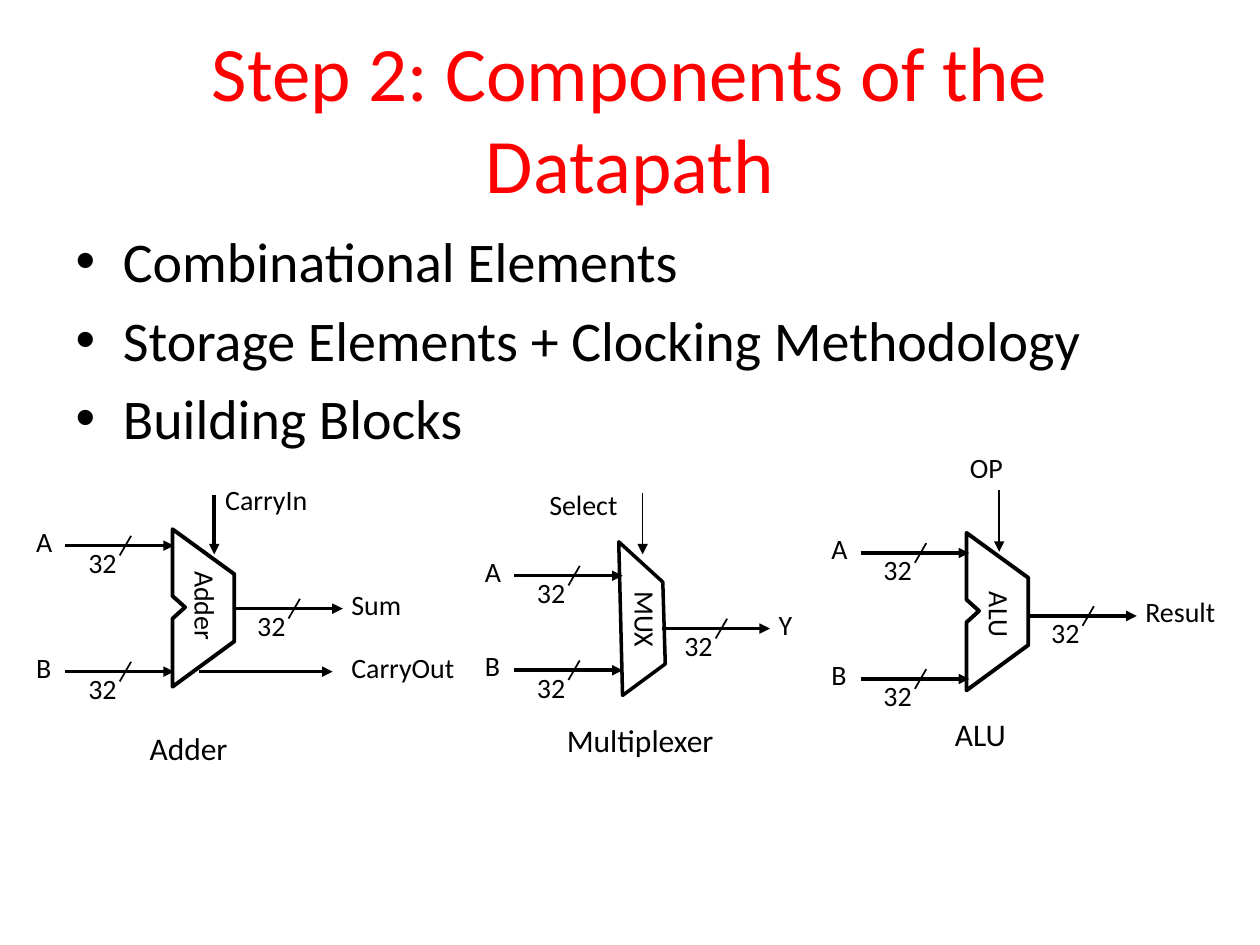
from dataclasses import dataclass

from lxml import etree
from pptx import Presentation
from pptx.dml.color import RGBColor
from pptx.enum.shapes import MSO_CONNECTOR
from pptx.enum.text import MSO_ANCHOR, MSO_AUTO_SIZE, PP_ALIGN
from pptx.oxml.ns import qn
from pptx.util import Pt

STRAIGHT = MSO_CONNECTOR.STRAIGHT
MIDDLE = MSO_ANCHOR.MIDDLE
FIT_SHAPE, NO_FIT = MSO_AUTO_SIZE.SHAPE_TO_FIT_TEXT, MSO_AUTO_SIZE.NONE
LEFT, CENTER = PP_ALIGN.LEFT, PP_ALIGN.CENTER


@dataclass(frozen=True)
class Theme:
    font: str = "Calibri"
    title_color: RGBColor = RGBColor(0xFF, 0x00, 0x00)
    ink: RGBColor = RGBColor(0x00, 0x00, 0x00)
    title_size: float = 44
    list_size: float = 32
    caption_size: float = 18
    label_size: float = 16
    thin: float = 1
    wire: float = 2
    outline: float = 2.25


THEME = Theme()
LABEL_HEIGHT = 26.6
CAPTION_HEIGHT = 29
WIRE_LENGTH = 62

# Outlines start at the top left corner of the element.
NOTCHED = [(0, 0), (0, 38.2), (7.2, 44.6), (0, 51.1), (0, 90), (35.3, 64.1), (35.3, 25.7)]
TRAPEZOID = [(0, 0), (2.2, 87.8), (26.6, 69.8), (25.2, 23)]


@dataclass(frozen=True)
class Element:
    """Offsets are from the left end of input wire A; texts are (text, x, y, width)."""
    outline: list
    outline_at: tuple
    outline_width: float
    name: tuple       # text, centre x, centre y, width
    input_gap: float
    output_at: tuple
    output: tuple     # text, width
    control: tuple
    control_wire: tuple  # x, top, bottom, line width
    caption: tuple


ADDER = Element(NOTCHED, (61.2, -9.4), THEME.outline, ("Adder", 80, 35.5, 56.2), 72,
                (96.5, 36), ("Sum", 43.2), ("CarryIn", 84.2, -39.6, 62),
                (85, -28.8, 5, THEME.wire), ("Adder", 41, 101.5, 59.8))
MULTIPLEXER = Element(TRAPEZOID, (59.8, -19.4), THEME.wire, ("MUX", 75, 25.5, 47.5), 54,
                      (84.2, 30.2), ("Y", 22.3), ("Select", 13, -54, 65.5),
                      (73.4, -47.5, -12.2, THEME.thin), ("Multiplexer", 23, 79.2, 102.2))
ALU = Element(NOTCHED, (60.5, -11.5), THEME.outline, ("ALU", 79.5, 36.4, 42.5), 72,
              (95.8, 36), ("Result", 56.2), ("OP", 55.4, -61.9, 47.5),
              (79.2, -36, -0.7, THEME.thin), ("ALU", 46.8, 89.3, 43.9))


def add_run(paragraph, text, size, color=THEME.ink):
    run = paragraph.add_run()
    run.text = text
    run.font.name = THEME.font
    run.font.size = Pt(size)
    run.font.color.rgb = color


def place(shape, left, top, width, height):
    shape.left, shape.top = Pt(left), Pt(top)
    shape.width, shape.height = Pt(width), Pt(height)


def add_label(slide, text, left, top, width, size=THEME.label_size, height=LABEL_HEIGHT):
    label = slide.shapes.add_textbox(Pt(left), Pt(top), Pt(width), Pt(height))
    frame = label.text_frame
    frame.word_wrap = False
    frame.auto_size = FIT_SHAPE
    frame.paragraphs[0].alignment = LEFT
    add_run(frame.paragraphs[0], text, size)
    return label


def add_line(slide, x1, y1, x2, y2, width, arrow=False):
    line = slide.shapes.add_connector(STRAIGHT, Pt(x1), Pt(y1), Pt(x2), Pt(y2))
    line.line.color.rgb = THEME.ink
    line.line.width = Pt(width)
    properties = line.line._get_or_add_ln()
    if arrow:
        etree.SubElement(properties, qn("a:tailEnd"), type="triangle")
    etree.SubElement(properties.getparent(), qn("a:effectLst"))


def add_bus(slide, left, y):
    """Draw a 32-bit wire with its slash and width."""
    add_line(slide, left, y, left + WIRE_LENGTH, y, THEME.wire, arrow=True)
    add_line(slide, left + 37.5, y - 5.6, left + 31, y + 5.6, THEME.thin)
    add_label(slide, "32", left + 6, y - 3.6, 30.6)


def add_outline(slide, points, left, top, width):
    corners = [(Pt(left + x), Pt(top + y)) for x, y in points]
    builder = slide.shapes.build_freeform(*corners[0])
    builder.add_line_segments(corners[1:], close=True)
    outline = builder.convert_to_shape()
    outline.shadow.inherit = False
    outline.fill.background()
    outline.line.color.rgb = THEME.ink
    outline.line.width = Pt(width)


def add_element(slide, element, left, top):
    for letter, y in (("A", top), ("B", top + element.input_gap)):
        add_bus(slide, left, y)
        add_label(slide, letter, left - 23.8, y - 15.8, 23.8)

    output_x, output_y = left + element.output_at[0], top + element.output_at[1]
    add_bus(slide, output_x, output_y)
    output, output_width = element.output
    add_label(slide, output, output_x + WIRE_LENGTH - 2.2, output_y - 15.8, output_width)

    x, start, end, weight = element.control_wire
    add_line(slide, left + x, top + start, left + x, top + end, weight, arrow=True)
    control, x, y, width = element.control
    add_label(slide, control, left + x, top + y, width)

    name, x, y, width = element.name
    name_label = add_label(slide, name, left + x - width / 2,
                           top + y - LABEL_HEIGHT / 2, width)
    name_label.rotation = 90
    x, y = element.outline_at
    add_outline(slide, element.outline, left + x, top + y, element.outline_width)

    caption, x, y, width = element.caption
    add_label(slide, caption, left + x, top + y, width, THEME.caption_size, CAPTION_HEIGHT)


def add_carry_out(slide, left, y):
    add_line(slide, left, y, left + 76.3, y, THEME.wire, arrow=True)
    add_label(slide, "CarryOut", left + 79.9, y - 15.8, 74.2)


def fill_title(title, text, box):
    place(title, *box)
    frame = title.text_frame
    frame.auto_size = NO_FIT
    frame.vertical_anchor = MIDDLE
    frame.paragraphs[0].alignment = CENTER
    add_run(frame.paragraphs[0], text, THEME.title_size, THEME.title_color)


def fill_list(body, items, box):
    place(body, *box)
    frame = body.text_frame
    frame.auto_size = NO_FIT
    for index, item in enumerate(items):
        paragraph = frame.add_paragraph() if index else frame.paragraphs[0]
        add_run(paragraph, item, THEME.list_size)


def main():
    deck = Presentation()
    deck.slide_width, deck.slide_height = Pt(720), Pt(540)
    slide = deck.slides.add_slide(deck.slide_layouts[1])
    fill_title(slide.shapes.title, "Step 2: Components of the Datapath", (36, 21.6, 648, 90))
    fill_list(slide.placeholders[1],
              ["Combinational Elements", "Storage Elements + Clocking Methodology",
               "Building Blocks"], (36, 126, 648, 144.7))
    add_element(slide, ADDER, 37.4, 311.8)
    add_carry_out(slide, 113.8, 383.8)
    add_element(slide, MULTIPLEXER, 293.8, 329)
    add_element(slide, ALU, 491.8, 316)
    deck.save("out.pptx")


if __name__ == "__main__":
    main()
